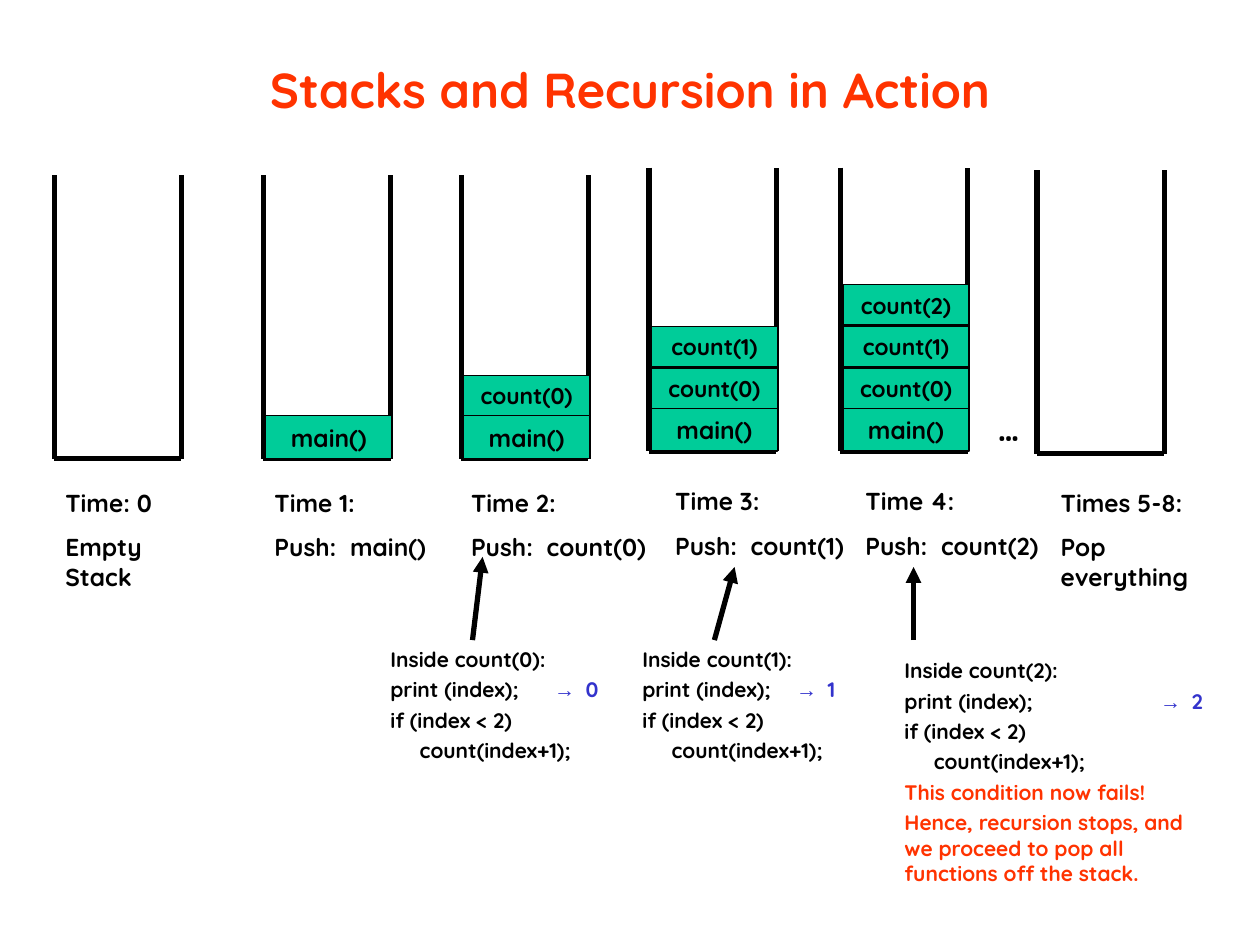
from lxml import etree
from pptx import Presentation
from pptx.dml.color import RGBColor
from pptx.enum.shapes import MSO_CONNECTOR, MSO_SHAPE
from pptx.enum.text import MSO_ANCHOR, PP_ALIGN
from pptx.oxml.ns import qn
from pptx.util import Pt

LINE = MSO_CONNECTOR.STRAIGHT
RECT = MSO_SHAPE.RECTANGLE
MIDDLE = MSO_ANCHOR.MIDDLE
LEFT, CENTER = PP_ALIGN.LEFT, PP_ALIGN.CENTER

SCALE = 9144  # EMU per px, 100 px to the inch
FONT = "Quicksand"
COLORS = {"ink": "000000", "red": "FF3300", "blue": "3333CC", "green": "00CC99"}
WELL_W, WELL_H = 101, 225
MAIN_H, CALL_H, CALL_STEP = 34, 32, 32.67

# well left, well base, calls, caption left, top, width, caption lines
STAGES = [
    (43, 364, [], 42, 382, 130, ["Time: 0", "Empty Stack"]),
    (209, 364, ["main()"], 208, 382, 145, ["Time 1:", "Push:\tmain()"]),
    (366, 364, ["main()", "count(0)"],
     364, 382, 162, ["Time 2:", "Push:\tcount(0)"]),
    (515, 358, ["main()", "count(0)", "count(1)"],
     526, 381, 162, ["Time 3:", "Push:\tcount(1)"]),
    (667, 358, ["main()", "count(0)", "count(1)", "count(2)"],
     677, 381, 162, ["Time 4:", "Push:\tcount(2)"]),
    (823, 360, [], 832, 382, 150, ["Times 5-8:", "Pop everything"]),
]
FAILS = [
    "This condition now fails!",
    "Hence, recursion stops, and we proceed to pop all functions off the stack.",
]
# index, box, tab to the output, closing remarks
TRACES = [
    (0, (300, 508, 192, 103), 130, []),
    (1, (500, 508, 200, 103), 122, []),
    (2, (708, 517, 258, 191), 203, FAILS),
]
ARROWS = [(375, 508, 383, 442), (567, 508, 583, 450), (725, 508, 725, 450)]


def px(*nums):
    return [round(n * SCALE) for n in nums]


def rgb(name):
    return RGBColor.from_string(COLORS[name])


def add_tabs(para, stops):
    if stops:
        tabs = etree.SubElement(para._p.get_or_add_pPr(), qn("a:tabLst"))
        for stop in px(*stops):
            etree.SubElement(tabs, qn("a:tab"), pos=str(stop), algn="l")


def write(frame, lines, size, gap=0, align=LEFT, stops=()):
    """Fill a frame; each line is a list of (text, color, font) runs."""
    frame.word_wrap = True
    for i, line in enumerate(lines):
        para = frame.paragraphs[0] if i == 0 else frame.add_paragraph()
        add_tabs(para, stops)
        para.alignment = align
        if i:
            para.space_before = Pt(gap)
        for text, color, face in line:
            run = para.add_run()
            run.text = text
            run.font.size = Pt(size)
            run.font.bold = True
            run.font.name = face
            run.font.color.rgb = rgb(color)


def plain(text, color="ink"):
    return [(text, color, FONT)]


def add_text(slide, box, lines, size, **style):
    frame = slide.shapes.add_textbox(*px(*box)).text_frame
    write(frame, lines, size, **style)
    return frame


def add_line(slide, ends, arrow=False):
    line = slide.shapes.add_connector(LINE, *px(*ends))
    line.line.color.rgb = rgb("ink")
    line.line.width = Pt(3)
    if arrow:
        etree.SubElement(line.line._get_or_add_ln(), qn("a:tailEnd"), type="triangle")
    etree.SubElement(line._element.spPr, qn("a:effectLst"))


def add_well(slide, left, base):
    right, top = left + WELL_W, base - WELL_H
    add_line(slide, (left, top, left, base))
    add_line(slide, (left, base, right, base))
    add_line(slide, (right, base, right, top))


def add_calls(slide, left, base, calls):
    """Pile the calls up from the base of a well."""
    for i, call in enumerate(calls):
        high, size = (CALL_H, 13) if i else (MAIN_H, 14)
        top = base - MAIN_H - int(i * CALL_STEP)
        block = slide.shapes.add_shape(RECT, *px(left, top, 100, high))
        block.shadow.inherit = False
        block.fill.solid()
        block.fill.fore_color.rgb = rgb("green")
        block.line.color.rgb = rgb("ink")
        block.line.width = Pt(0.75)
        block.text_frame.vertical_anchor = MIDDLE
        write(block.text_frame, [plain(call)], size, align=CENTER)


def add_trace(slide, index, box, stop, notes):
    """Show the code run by one call and what it prints."""
    lines = [
        plain(f"Inside count({index}):"),
        [("print (index);", "ink", FONT), ("\t→", "blue", "Arial"),
         (f"\t{index}", "blue", FONT)],
        plain("if (index < 2)"),
        plain("     count(index+1);"),
    ]
    lines += [plain(note, "red") for note in notes]
    add_text(slide, box, lines, 12, gap=3, stops=(stop, stop + 25))


def main():
    deck = Presentation()
    deck.slide_width, deck.slide_height = px(1000, 750)
    slide = deck.slides.add_slide(deck.slide_layouts[6])

    title = add_text(slide, (75, 8, 850, 125),
                     [plain("Stacks and Recursion in Action", "red")], 28, align=CENTER)
    title.vertical_anchor = MIDDLE

    for left, base, calls, text_x, text_y, wide, lines in STAGES:
        add_well(slide, left, base)
        add_calls(slide, left + 2, base, calls)
        add_text(slide, (text_x, text_y, wide, 69),
                 [plain(line) for line in lines], 14, gap=8.8, stops=(60,))
    add_text(slide, (782, 318, 48, 44), [plain("…")], 20)

    for trace in TRACES:
        add_trace(slide, *trace)
    for ends in ARROWS:
        add_line(slide, ends, arrow=True)

    deck.save("out.pptx")


if __name__ == "__main__":
    main()
